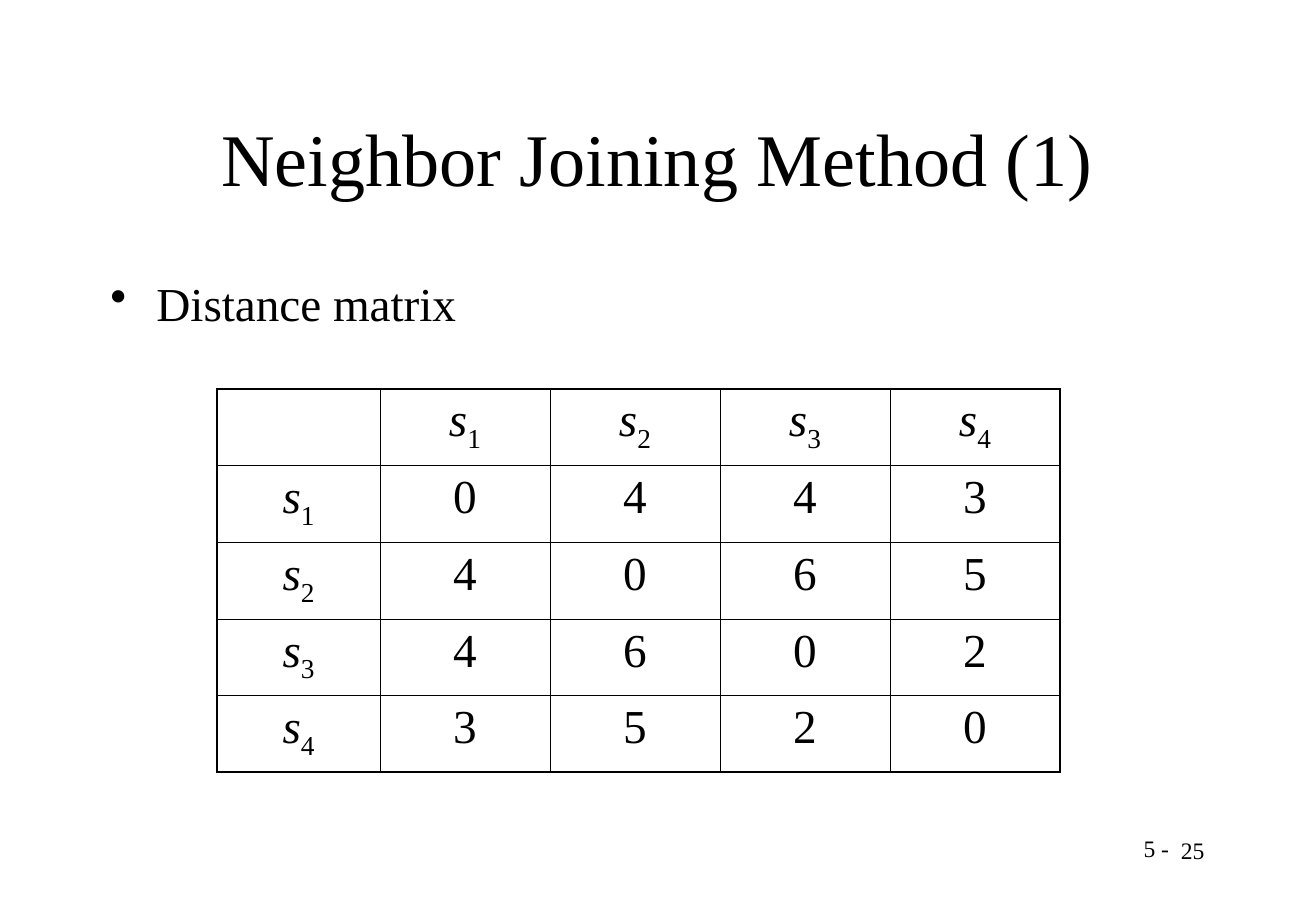
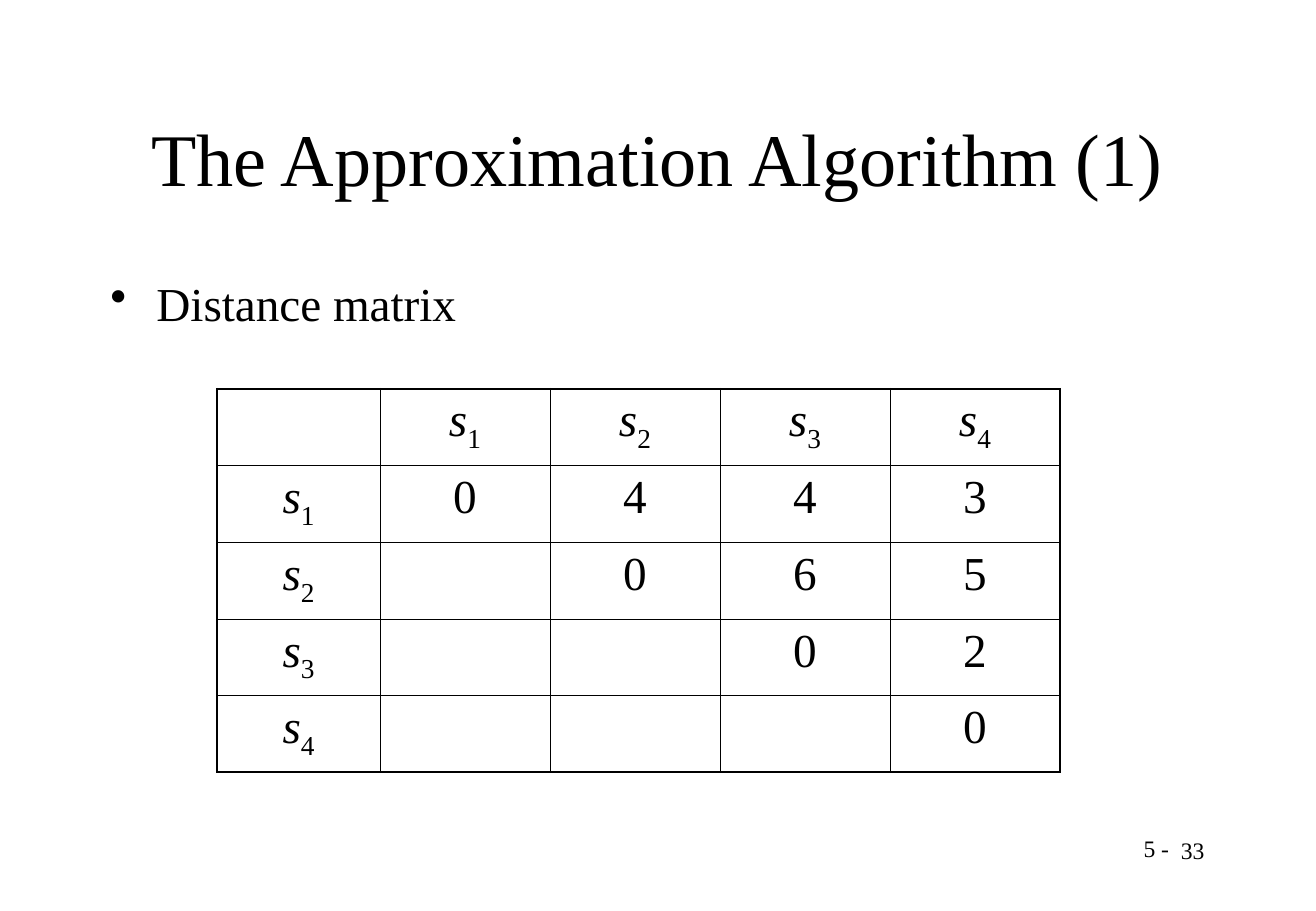
from dataclasses import dataclass

from lxml.etree import SubElement
from pptx import Presentation
from pptx.dml.color import RGBColor
from pptx.enum.text import MSO_ANCHOR as Anchor, PP_ALIGN as Align
from pptx.oxml import parse_xml
from pptx.oxml.ns import nsdecls, qn
from pptx.slide import Slide
from pptx.table import _Cell as Cell
from pptx.text.text import _Paragraph as Paragraph
from pptx.util import Inches, Pt

SLIDE_WIDTH, SLIDE_HEIGHT = Inches(10.84), Inches(7.5)
COLORS = {"ink": "000000", "paper": "FFFFFF"}
FONT = "Times New Roman"
TITLE_SIZE, BODY_SIZE, FOOTER_SIZE = 44, 28, 14
OUTER_BORDER, INNER_BORDER = 1.08, 0.45
LABEL_COLUMN, VALUE_COLUMN = 12.36, 12.92
CHAPTER = "5 -"
DISTANCES = [
    [0, 4, 4, 3],
    [4, 0, 6, 5],
    [4, 6, 0, 2],
    [3, 5, 2, 0],
]


@dataclass(frozen=True)
class Region:
    """Left, top, width and height in percent of the slide."""

    left: float
    top: float
    width: float
    height: float

    def lengths(self) -> tuple[int, int, int, int]:
        return (
            across(self.left),
            down(self.top),
            across(self.width),
            down(self.height),
        )


@dataclass(frozen=True)
class TextStyle:
    region: Region
    size: int
    align: Align = Align.LEFT
    anchor: Anchor = Anchor.TOP
    bulleted: bool = False


@dataclass(frozen=True)
class MatrixSlide:
    title: str
    number: int
    row_height: float
    upper_only: bool


TITLE = TextStyle(Region(7.47, 8.93, 84.96, 16.67), TITLE_SIZE, Align.CENTER, Anchor.MIDDLE)
BODY = TextStyle(Region(7.47, 29.47, 81.83, 60), BODY_SIZE, bulleted=True)
CHAPTER_MARK = TextStyle(Region(75.9, 90.93, 23.94, 6.67), FOOTER_SIZE, Align.CENTER)
PAGE_MARK = TextStyle(Region(71.59, 91.07, 20.85, 6.67), FOOTER_SIZE, Align.RIGHT)

MATRIX_SLIDES = [
    MatrixSlide("Neighbor Joining Method (1)", 25, 7.92, False),
    MatrixSlide("The Approximation Algorithm (1)", 33, 8.29, True),
]


def across(percent: float) -> int:
    return round(SLIDE_WIDTH * percent / 100)


def down(percent: float) -> int:
    return round(SLIDE_HEIGHT * percent / 100)


def set_font(paragraph: Paragraph, size: int) -> None:
    paragraph.font.name = FONT
    paragraph.font.size = Pt(size)
    paragraph.font.color.rgb = RGBColor.from_string(COLORS["ink"])


def add_bullet(paragraph: Paragraph) -> None:
    properties = paragraph._p.get_or_add_pPr()
    properties.set("marL", str(Inches(0.38)))
    properties.set("indent", str(-Inches(0.38)))
    SubElement(properties, qn("a:buChar")).set("char", "•")


def add_text(slide: Slide, text: str, style: TextStyle) -> None:
    frame = slide.shapes.add_textbox(*style.region.lengths()).text_frame
    frame.word_wrap = True
    frame.vertical_anchor = style.anchor
    paragraph = frame.paragraphs[0]
    paragraph.text = text
    paragraph.alignment = style.align
    if style.bulleted:
        add_bullet(paragraph)
    set_font(paragraph, style.size)


def set_borders(cell: Cell, row: int, column: int, last: int) -> None:
    outer_edges = {
        "L": column == 0,
        "R": column == last,
        "T": row == 0,
        "B": row == last,
    }
    properties = cell._tc.get_or_add_tcPr()
    for position, (side, is_outer) in enumerate(outer_edges.items()):
        width = Pt(OUTER_BORDER if is_outer else INNER_BORDER)
        border = parse_xml(
            f'<a:ln{side} {nsdecls("a")} w="{width}"><a:solidFill>'
            f'<a:srgbClr val="{COLORS["ink"]}"/></a:solidFill></a:ln{side}>'
        )
        properties.insert(position, border)


def write_species(paragraph: Paragraph, index: int) -> None:
    symbol = paragraph.add_run()
    symbol.text = "s"
    symbol.font.italic = True
    subscript = paragraph.add_run()
    subscript.text = str(index)
    subscript.font._element.set("baseline", "-25000")


def fill_cell(cell: Cell, row: int, column: int, upper_only: bool) -> None:
    cell.fill.background()
    paragraph = cell.text_frame.paragraphs[0]
    paragraph.alignment = Align.CENTER
    set_font(paragraph, BODY_SIZE)
    if row and column:
        if column >= row or not upper_only:
            paragraph.add_run().text = str(DISTANCES[row - 1][column - 1])
    elif row or column:
        write_species(paragraph, row or column)


def add_matrix(slide: Slide, content: MatrixSlide) -> None:
    last = len(DISTANCES)
    count = last + 1
    region = Region(
        16.51, 42.67, LABEL_COLUMN + last * VALUE_COLUMN, count * content.row_height
    )
    table = slide.shapes.add_table(count, count, *region.lengths()).table
    table.first_row = False
    table.horz_banding = False
    for column, table_column in enumerate(table.columns):
        table_column.width = across(VALUE_COLUMN if column else LABEL_COLUMN)
    for row, table_row in enumerate(table.rows):
        table_row.height = down(content.row_height)
        for column, cell in enumerate(table_row.cells):
            fill_cell(cell, row, column, content.upper_only)
            set_borders(cell, row, column, last)


def add_matrix_slide(deck: Presentation, content: MatrixSlide) -> None:
    slide = deck.slides.add_slide(deck.slide_layouts[6])
    slide.background.fill.solid()
    slide.background.fill.fore_color.rgb = RGBColor.from_string(COLORS["paper"])
    add_text(slide, content.title, TITLE)
    add_text(slide, "Distance matrix", BODY)
    add_matrix(slide, content)
    add_text(slide, CHAPTER, CHAPTER_MARK)
    add_text(slide, str(content.number), PAGE_MARK)


def main() -> None:
    deck = Presentation()
    deck.slide_width, deck.slide_height = SLIDE_WIDTH, SLIDE_HEIGHT
    for content in MATRIX_SLIDES:
        add_matrix_slide(deck, content)
    deck.save("out.pptx")


if __name__ == "__main__":
    main()
